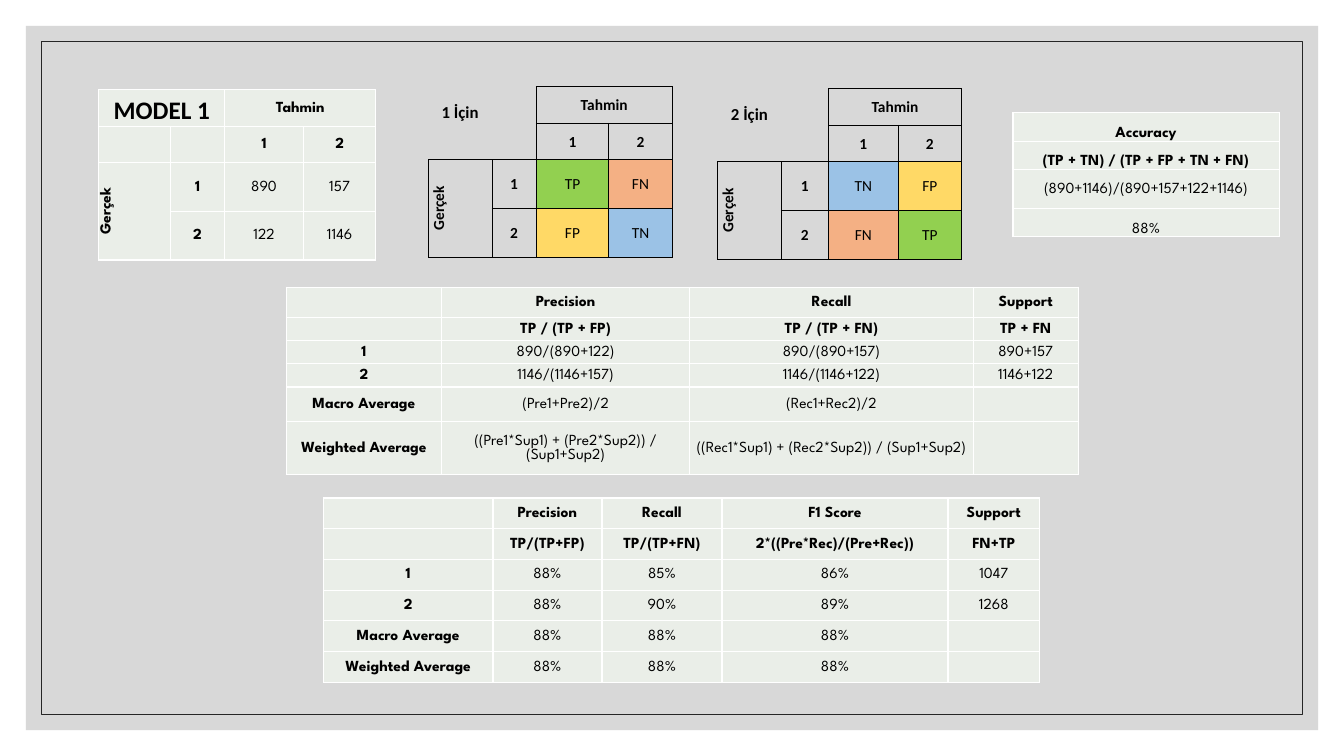
"""Build the Model 1 evaluation slide: confusion matrices, formulas and scores."""
from lxml import etree
from pptx import Presentation
from pptx.dml.color import RGBColor
from pptx.enum.shapes import MSO_SHAPE
from pptx.enum.text import MSO_ANCHOR, PP_ALIGN
from pptx.oxml.ns import qn
from pptx.util import Pt

RECTANGLE = MSO_SHAPE.RECTANGLE
CENTER = PP_ALIGN.CENTER
MIDDLE, BOTTOM = MSO_ANCHOR.MIDDLE, MSO_ANCHOR.BOTTOM

THEME = {
    "ink": "000000", "panel": "BFBFBF", "panel_alpha": 60, "frame": "262626",
    "cell": "EAEEE8", "rule": "FFFFFF",
    "marks": {"TP": "92D050", "FN": "F4B084", "FP": "FFD966", "TN": "9BC2E6"},
    "plain": "Calibri", "display": "League Spartan",
    "body": 11, "label": 12, "title": 18,
}
PAGE_WIDTH, PAGE_HEIGHT = 960, 540
PANEL_MARGIN, FRAME_MARGIN = 18.5, 29.5
INSET = 0.72

MATRIX_ROWS = [26.1, 26.1, 34.75, 34.75]
MATRIX_MERGES = [(0, 2, 0, 3), (2, 0, 3, 0)]


def matrix_cells(title, first, second):
    """Return the cell texts of a two-class confusion matrix."""
    return [[title, "", "Tahmin", ""], ["", "", "1", "2"],
            ["Gerçek", "1", *first], ["", "2", *second]]


TABLES = [
    {"left": 306, "top": 61.92, "cols": [45.36, 31.68, 51.84, 45.36], "rows": MATRIX_ROWS,
     "cells": matrix_cells("1 İçin", ["TP", "FN"], ["FP", "TN"]),
     "merges": MATRIX_MERGES, "labels": 2, "outlined": True, "bottom": [(0, 0)]},
    {"left": 512.64, "top": 63.36, "cols": [45.36, 33.84, 49.68, 45.36], "rows": MATRIX_ROWS,
     "cells": matrix_cells("2 İçin", ["TN", "FP"], ["FN", "TP"]),
     "merges": MATRIX_MERGES, "labels": 2, "outlined": True, "bottom": [(0, 0)]},
    {"left": 70.56, "top": 64.08, "cols": [51.12, 38.88, 56.16, 51.84], "rows": MATRIX_ROWS,
     "cells": matrix_cells("MODEL 1", ["890", "157"], ["122", "1146"]),
     "merges": [(0, 0, 0, 1), *MATRIX_MERGES], "labels": 2, "bottom": [(0, 0)]},
    {"left": 723.6, "top": 80.64, "cols": [190.08], "rows": [20.16, 20.16, 28.08, 20.16],
     "cells": [["Accuracy"], ["(TP + TN) / (TP + FP + TN + FN)"],
               ["(890+1146)/(890+157+122+1146)"], ["88%"]],
     "labels": 0, "bottom": [(0, 0), (1, 0), (3, 0)]},
    {"left": 204.48, "top": 205.2, "cols": [111, 177.3, 202.5, 75],
     "rows": [21.6, 16.56, 16.56, 16.56, 24.48, 38.16],
     "cells": [
         ["", "Precision", "Recall", "Support"],
         ["", "TP / (TP + FP)", "TP / (TP + FN)", "TP + FN"],
         ["1", "890/(890+122)", "890/(890+157)", "890+157"],
         ["2", "1146/(1146+157)", "1146/(1146+122)", "1146+122"],
         ["Macro Average", "(Pre1+Pre2)/2", "(Rec1+Rec2)/2", ""],
         ["Weighted Average", "((Pre1*Sup1) + (Pre2*Sup2)) / (Sup1+Sup2)",
          "((Rec1*Sup1) + (Rec2*Sup2)) / (Sup1+Sup2)", ""]],
     "labels": 1},
    {"left": 231.12, "top": 355.68, "cols": [121, 77.9, 85.8, 161.4, 65.6], "rows": [21.96] * 6,
     "cells": [
         ["", "Precision", "Recall", "F1 Score", "Support"],
         ["", "TP/(TP+FP)", "TP/(TP+FN)", "2*((Pre*Rec)/(Pre+Rec))", "FN+TP"],
         ["1", "88%", "85%", "86%", "1047"],
         ["2", "88%", "90%", "89%", "1268"],
         ["Macro Average", "88%", "88%", "88%", ""],
         ["Weighted Average", "88%", "88%", "88%", ""]],
     "labels": 1},
]


def write(cell, text, *, font, size, bold, anchor):
    """Write centred text into a table cell."""
    cell.margin_left = cell.margin_right = cell.margin_top = Pt(INSET)
    cell.margin_bottom = 0
    cell.vertical_anchor = anchor
    para = cell.text_frame.paragraphs[0]
    para.alignment = CENTER
    if not text:
        etree.SubElement(para._p, qn("a:endParaRPr"), sz=str(size * 100))
        return
    span = para.add_run()
    span.text = text
    span.font.name, span.font.size, span.font.bold = font, Pt(size), bold
    span.font.color.rgb = RGBColor.from_string(THEME["ink"])


def set_borders(cell, sides, color, width):
    """Draw the listed sides of a cell and hide the others."""
    properties = cell._tc.get_or_add_tcPr()
    for side in "LRTB":
        line = etree.SubElement(properties, qn(f"a:ln{side}"), w=str(int(Pt(width))))
        if side in sides:
            fill = etree.SubElement(line, qn("a:solidFill"))
            etree.SubElement(fill, qn("a:srgbClr"), val=color)
        else:
            etree.SubElement(line, qn("a:noFill"))


def paint(fill, color):
    """Fill with a solid colour, or with none."""
    if color:
        fill.solid()
        fill.fore_color.rgb = RGBColor.from_string(color)
    else:
        fill.background()


def add_grid(page, data):
    """Add one table with its texts, fills, borders and merged cells."""
    rows, cols = data["rows"], data["cols"]
    grid = page.shapes.add_table(len(rows), len(cols), Pt(data["left"]), Pt(data["top"]),
                                 Pt(sum(cols)), Pt(sum(rows))).table
    grid.first_row = grid.horz_banding = False
    for column, width in zip(grid.columns, cols):
        column.width = Pt(width)
    outlined = data.get("outlined", False)
    font = THEME["plain"] if outlined else THEME["display"]
    for r, texts in enumerate(data["cells"]):
        grid.rows[r].height = Pt(rows[r])
        for c, text in enumerate(texts):
            cell = grid.cell(r, c)
            is_title = data["labels"] == 2 and (r, c) == (0, 0)
            size = THEME["body"]
            if is_title:
                size = THEME["label"] if outlined else THEME["title"]
            write(cell, text, font=THEME["plain"] if is_title else font, size=size,
                  bold=r < 2 or c < data["labels"],
                  anchor=BOTTOM if (r, c) in data.get("bottom", []) else MIDDLE)
            sides = "LRTB"
            if outlined and r < 2 and c < 2:
                sides = "R" * (c == 1) + "B" * (r == 1)
            color, width = (THEME["ink"], 0.5) if outlined else (THEME["rule"], 1)
            set_borders(cell, sides, color, width)
            paint(cell.fill, THEME["marks"].get(text) if outlined else THEME["cell"])
            if text == "Gerçek":
                cell._tc.get_or_add_tcPr().set("vert", "vert270")
    for top, left, bottom, right in data.get("merges", []):
        grid.cell(top, left).merge(grid.cell(bottom, right))


def add_panel(page, margin, *, fill=None, line=None):
    """Add a rectangle with an equal margin on every side of the page."""
    box = page.shapes.add_shape(RECTANGLE, Pt(margin), Pt(margin),
                                Pt(PAGE_WIDTH - 2 * margin), Pt(PAGE_HEIGHT - 2 * margin))
    box.shadow.inherit = False
    paint(box.fill, fill)
    paint(box.line.fill, line)
    if line:
        box.line.width = Pt(0.5)
    return box


def main():
    """Build and save the slide."""
    deck = Presentation()
    deck.slide_width, deck.slide_height = Pt(PAGE_WIDTH), Pt(PAGE_HEIGHT)
    page = deck.slides.add_slide(deck.slide_layouts[6])
    panel = add_panel(page, PANEL_MARGIN, fill=THEME["panel"])
    tint = panel._element.spPr.find(qn("a:solidFill")).find(qn("a:srgbClr"))
    etree.SubElement(tint, qn("a:alpha"), val=str(THEME["panel_alpha"] * 1000))
    add_panel(page, FRAME_MARGIN, line=THEME["frame"])
    for data in TABLES:
        add_grid(page, data)
    deck.save("out.pptx")


if __name__ == "__main__":
    main()
